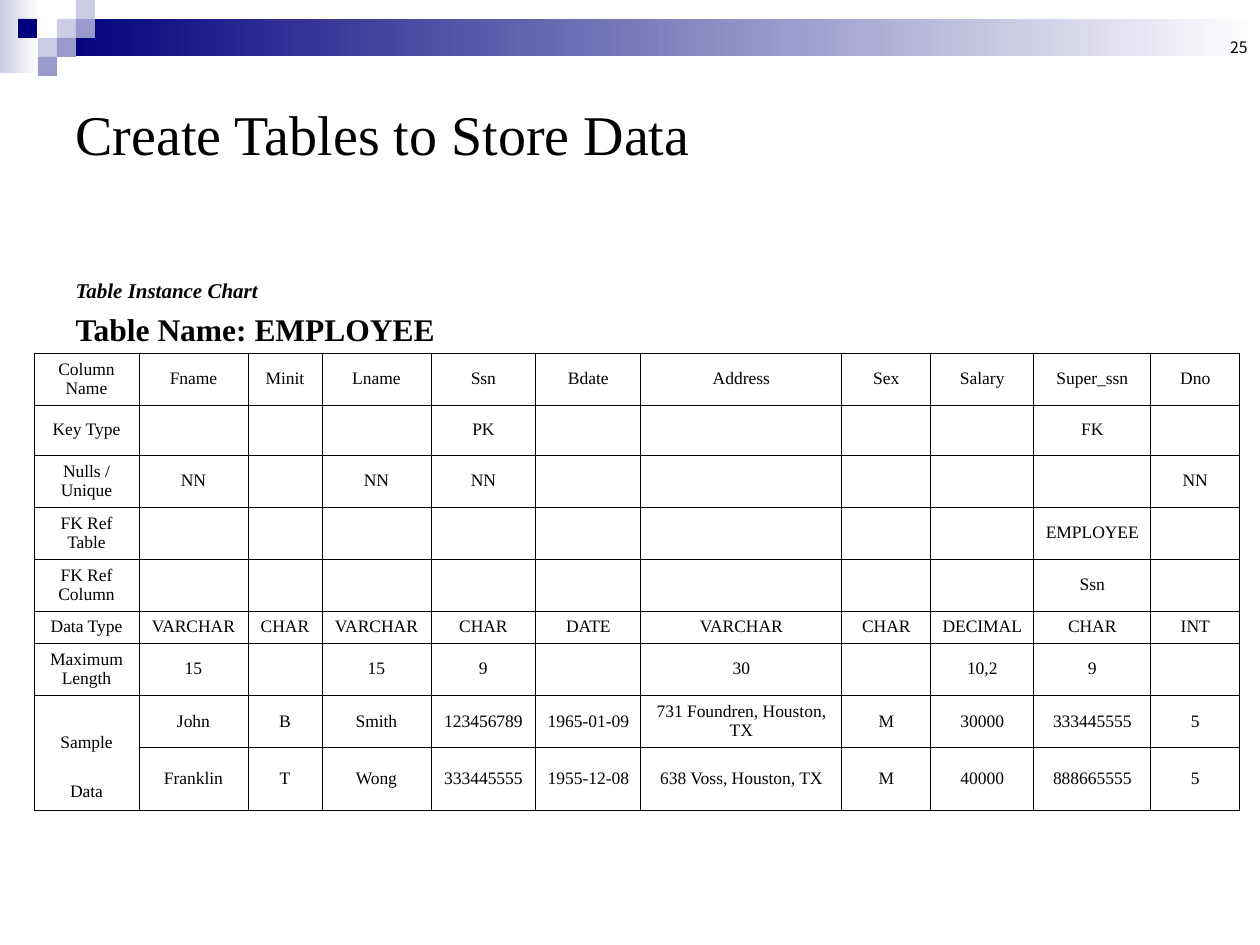
from dataclasses import dataclass
from typing import Optional

from lxml.etree import SubElement
from pptx import Presentation
from pptx.dml.color import RGBColor
from pptx.enum.shapes import MSO_SHAPE
from pptx.enum.text import MSO_ANCHOR, MSO_AUTO_SIZE, PP_ALIGN
from pptx.oxml.ns import qn
from pptx.util import Emu, Pt

PX = 914400 // 126
BLACK = RGBColor(0x00, 0x00, 0x00)
WHITE = RGBColor(0xFF, 0xFF, 0xFF)
NAVY = RGBColor(0x00, 0x00, 0x7D)
LILAC = RGBColor(0xCC, 0xCC, 0xE6)
PERIWINKLE = RGBColor(0x99, 0x99, 0xCC)
SERIF = "Times New Roman"
SANS = "Noto Sans CJK KR"


@dataclass
class Block:
    x: int
    y: int
    w: int
    h: int
    color: RGBColor
    fade_to: Optional[RGBColor] = None


TILE = 19
BLOCKS = [
    Block(0, 0, 39, 73, LILAC, WHITE),
    Block(57, TILE, 1203, 37, NAVY, WHITE),
] + [
    Block(x, row * TILE, TILE, TILE, color)
    for x, row, color in [
        (57, 1, LILAC), (76, 0, LILAC), (76, 1, PERIWINKLE), (38, 2, LILAC),
        (18, 1, NAVY), (57, 2, PERIWINKLE), (38, 3, PERIWINKLE),
    ]
]

COL_WIDTHS = [105, 109, 74, 109, 105, 105, 201, 89, 103, 117, 89]
ROW_HEIGHTS = [51, 50, 52, 51, 52, 32, 51, 52, 63]
ROWS = [
    ["Column\nName", "Fname", "Minit", "Lname", "Ssn", "Bdate", "Address",
     "Sex", "Salary", "Super_ssn", "Dno"],
    ["Key Type", "", "", "", "PK", "", "", "", "", "FK", ""],
    ["Nulls / Unique", "NN", "", "NN", "NN", "", "", "", "", "", "NN"],
    ["FK Ref Table", "", "", "", "", "", "", "", "", "EMPLOYEE", ""],
    ["FK Ref Column", "", "", "", "", "", "", "", "", "Ssn", ""],
    ["Data Type", "VARCHAR", "CHAR", "VARCHAR", "CHAR", "DATE", "VARCHAR",
     "CHAR", "DECIMAL", "CHAR", "INT"],
    ["Maximum Length", "15", "", "15", "9", "", "30", "", "10,2", "9", ""],
    ["Sample Data", "John", "B", "Smith", "123456789", "1965-01-09",
     "731 Foundren, Houston, TX", "M", "30000", "333445555", "5"],
    ["", "Franklin", "T", "Wong", "333445555", "1955-12-08",
     "638 Voss, Houston, TX", "M", "40000", "888665555", "5"],
]


def px(n: int) -> Emu:
    return Emu(n * PX)


def place(sp, x: int, y: int, w: int, h: int) -> None:
    sp.left, sp.top, sp.width, sp.height = px(x), px(y), px(w), px(h)


def write(p, text: str, *, size: int, font: str = SERIF, bold: bool = False,
          italic: bool = False, align=PP_ALIGN.LEFT, before: float = 0,
          spacing: float = 1.0) -> None:
    p.alignment = align
    p.space_before = Pt(before)
    p.line_spacing = spacing
    r = p.add_run()
    r.text = text
    f = r.font
    f.size, f.name, f.bold, f.italic = Pt(size), font, bold, italic
    f.color.rgb = BLACK


def draw_block(shapes, b: Block) -> None:
    sp = shapes.add_shape(MSO_SHAPE.RECTANGLE, px(b.x), px(b.y), px(b.w), px(b.h))
    sp.shadow.inherit = False
    sp.line.fill.background()
    if b.fade_to is None:
        sp.fill.solid()
        sp.fill.fore_color.rgb = b.color
    else:
        sp.fill.gradient()
        sp.fill.gradient_angle = 0
        for stop, color in zip(sp.fill.gradient_stops, (b.color, b.fade_to)):
            stop.color.rgb = color


def draw_borders(cell) -> None:
    tc_pr = cell._tc.get_or_add_tcPr()
    for i, side in enumerate(("lnL", "lnR", "lnT", "lnB")):
        ln = tc_pr.makeelement(qn(f"a:{side}"), {"w": str(Pt(0.45))})
        fill = SubElement(ln, qn("a:solidFill"))
        SubElement(fill, qn("a:srgbClr"), val=str(BLACK))
        tc_pr.insert(i, ln)


def draw_table(shapes, x: int, y: int) -> None:
    frame = shapes.add_table(len(ROWS), len(COL_WIDTHS), px(x), px(y),
                             px(sum(COL_WIDTHS)), px(sum(ROW_HEIGHTS)))
    table = frame.table
    table.first_row = table.horz_banding = False
    for col, w in zip(table.columns, COL_WIDTHS):
        col.width = px(w)
    for row, h, texts in zip(table.rows, ROW_HEIGHTS, ROWS):
        row.height = px(h)
        for cell, text in zip(row.cells, texts):
            cell.fill.background()
            cell.vertical_anchor = MSO_ANCHOR.MIDDLE
            cell.margin_left = cell.margin_right = px(9)
            cell.margin_top = cell.margin_bottom = px(5)
            draw_borders(cell)
            if not text:
                continue
            tf = cell.text_frame
            for i, line in enumerate(text.split("\n")):
                p = tf.add_paragraph() if i else tf.paragraphs[0]
                write(p, line, size=10, align=PP_ALIGN.CENTER,
                      spacing=2.5 if text == "Sample Data" else 1.0)
    # The sample label spans the two data rows
    table.cell(7, 0).merge(table.cell(8, 0))


def main() -> None:
    prs = Presentation()
    prs.slide_width, prs.slide_height = px(1260), px(945)
    slide = prs.slides.add_slide(prs.slide_layouts[1])
    shapes = slide.shapes

    # Header band and tiles
    for b in BLOCKS:
        draw_block(shapes, b)

    # Page number
    sp = shapes.add_textbox(px(966), px(0), px(294), px(63))
    tf = sp.text_frame
    tf.word_wrap = True
    tf.vertical_anchor = MSO_ANCHOR.BOTTOM
    write(tf.paragraphs[0], "25", size=9, font=SANS, align=PP_ALIGN.RIGHT)

    # Title
    title = shapes.title
    place(title, 63, 63, 1134, 141)
    tf = title.text_frame
    tf.auto_size = MSO_AUTO_SIZE.NONE
    tf.vertical_anchor = MSO_ANCHOR.MIDDLE
    write(tf.paragraphs[0], "Create Tables to Store Data", size=32)

    # Table captions
    body = slide.placeholders[1]
    place(body, 63, 271, 843, 83)
    tf = body.text_frame
    tf.auto_size = MSO_AUTO_SIZE.NONE
    captions = [
        ("Table Instance Chart", dict(size=12, italic=True)),
        ("Table Name: EMPLOYEE", dict(size=18, before=4.5)),
    ]
    for i, (text, fmt) in enumerate(captions):
        p = tf.add_paragraph() if i else tf.paragraphs[0]
        write(p, text, bold=True, **fmt)
        p_pr = p._p.get_or_add_pPr()
        p_pr.set("marL", str(px(48)))
        p_pr.set("indent", str(px(-48)))
        SubElement(p_pr, qn("a:buNone"))

    # Table instance chart
    draw_table(shapes, 34, 353)

    prs.save("out.pptx")


if __name__ == "__main__":
    main()
